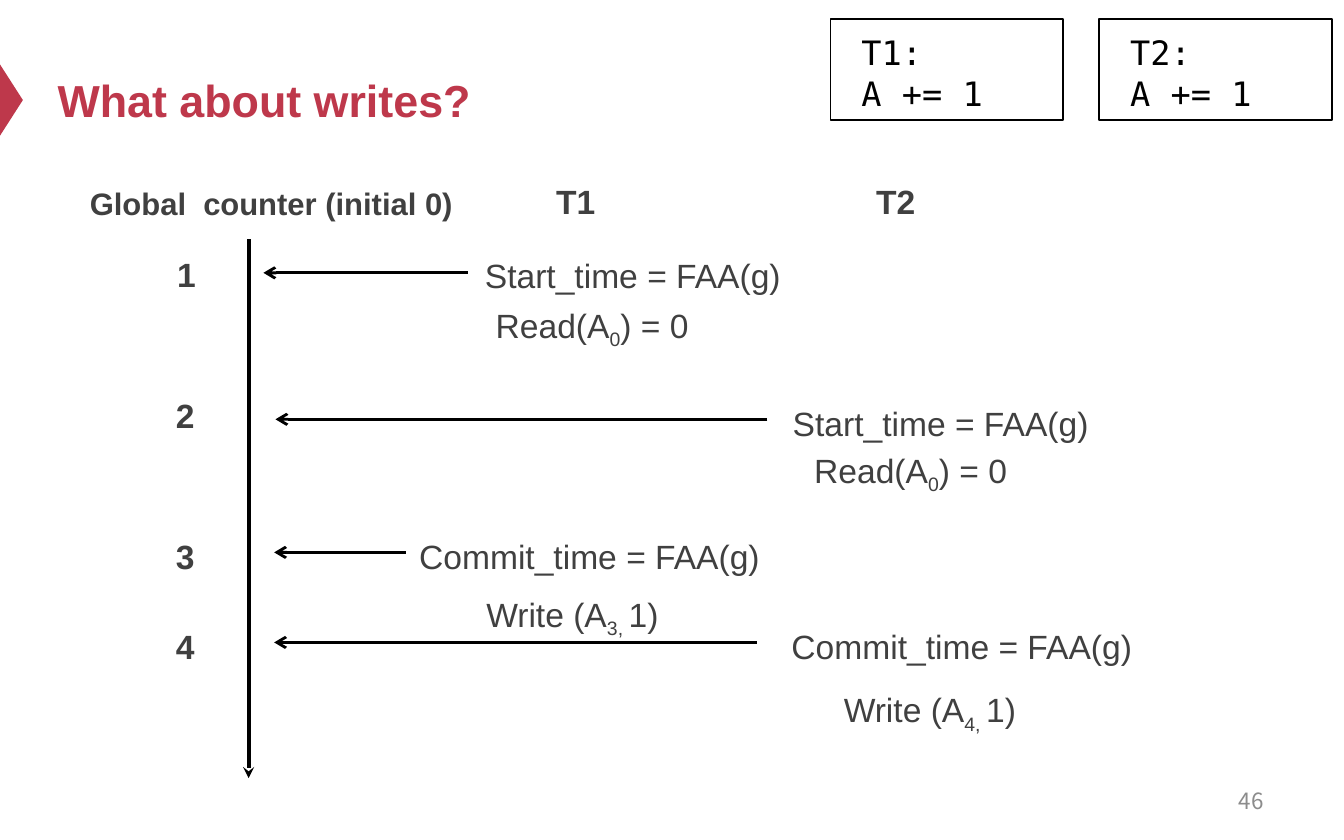
from dataclasses import dataclass

from lxml import etree
from pptx import Presentation
from pptx.dml.color import RGBColor
from pptx.enum.shapes import MSO_CONNECTOR, MSO_SHAPE
from pptx.enum.text import MSO_ANCHOR, PP_ALIGN
from pptx.oxml.ns import qn
from pptx.util import Inches, Pt

COLORS = {"accent": "BE384B", "text": "404040", "black": "000000",
          "white": "FFFFFF", "number": "8C8C8C"}
LABEL_H = 0.55


@dataclass
class Label:
    text: str
    x: float
    y: float
    w: float
    bold: bool = False
    size: float = 18
    filled: bool = False
    sub: str = ""    # subscript that follows the text
    rest: str = ""   # normal text after the subscript


@dataclass
class Arrow:
    x1: float
    y1: float
    x2: float
    y2: float
    width: float = 1.5
    head: str = "arrow"


def rgb(name: str) -> RGBColor:
    return RGBColor.from_string(COLORS[name])


def set_font(p, size: float, color: str, name: str = "Arial", bold: bool = False) -> None:
    p.font.size = Pt(size)
    p.font.name = name
    p.font.bold = bold
    p.font.color.rgb = rgb(color)


def add_box(s, x: float, y: float, w: float, h: float, filled: bool = False):
    """Add a plain white rectangle or a text box, wrapped and left aligned."""
    pos = Inches(x), Inches(y), Inches(w), Inches(h)
    if filled:
        sp = s.shapes.add_shape(MSO_SHAPE.RECTANGLE, *pos)
        sp.shadow.inherit = False
        sp.fill.solid()
        sp.fill.fore_color.rgb = rgb("white")
        sp.line.fill.background()
    else:
        sp = s.shapes.add_textbox(*pos)
    sp.text_frame.word_wrap = True
    sp.text_frame.vertical_anchor = MSO_ANCHOR.TOP
    sp.text_frame.paragraphs[0].alignment = PP_ALIGN.LEFT
    return sp


def add_label(s, label: Label) -> None:
    sp = add_box(s, label.x, label.y, label.w, LABEL_H, label.filled)
    p = sp.text_frame.paragraphs[0]
    p.line_spacing = 1.2
    set_font(p, label.size, "text", bold=label.bold)
    p.add_run().text = label.text
    if label.sub:
        r = p.add_run()
        r.text = label.sub
        r.font._element.set("baseline", "-25000")
        p.add_run().text = label.rest


def add_arrow(s, arrow: Arrow) -> None:
    c = s.shapes.add_connector(MSO_CONNECTOR.STRAIGHT, Inches(arrow.x1), Inches(arrow.y1),
                               Inches(arrow.x2), Inches(arrow.y2))
    c.line.color.rgb = rgb("black")
    c.line.width = Pt(arrow.width)
    etree.SubElement(c.line._get_or_add_ln(), qn("a:tailEnd"), type=arrow.head)
    etree.SubElement(c._element.spPr, qn("a:effectLst"))


def add_code_box(s, x: float, name: str) -> None:
    sp = add_box(s, x, 0.14, 1.73, 0.75, filled=True)
    sp.line.color.rgb = rgb("black")
    sp.line.width = Pt(1)
    tf = sp.text_frame
    tf.margin_left, tf.margin_top = Inches(0.23), Inches(0.1)
    tf.text = f"{name}:\nA += 1"
    for p in tf.paragraphs:
        p.alignment = PP_ALIGN.LEFT
        set_font(p, 18, "black", "DejaVu Sans Mono")


LABELS = [
    # Column headings
    Label("Global  counter (initial 0)", 0.57, 1.27, 2.91, bold=True, size=16.6, filled=True),
    Label("T1", 4.04, 1.24, 0.88, bold=True),
    Label("T2", 6.42, 1.24, 0.88, bold=True),
    # Counter values
    Label("1", 1.22, 1.78, 1.92, bold=True, filled=True),
    Label("2", 1.21, 2.83, 1.92, bold=True),
    Label("3", 1.21, 3.88, 0.6, bold=True),
    Label("4", 1.21, 4.55, 0.6, bold=True),
    # Transaction T1
    Label("Start_time = FAA(g)", 3.51, 1.79, 2.99),
    Label("Read(A", 3.59, 2.15, 2.2, sub="0", rest=") = 0"),
    Label("Commit_time = FAA(g)", 3.02, 3.88, 2.99, filled=True),
    Label("Write (A", 3.52, 4.3, 1.64, sub="3, ", rest="1)"),
    # Transaction T2
    Label("Start_time = FAA(g)", 5.8, 2.89, 2.99),
    Label("Read(A", 5.96, 3.23, 2.2, sub="0", rest=") = 0"),
    Label("Commit_time = FAA(g)", 5.79, 4.55, 2.99, filled=True),
    Label("Write (A", 6.18, 5.01, 1.64, sub="4, ", rest="1)"),
]

ARROWS = [
    Arrow(1.85, 1.78, 1.85, 5.79, width=2, head="stealth"),  # time axis
    Arrow(3.48, 2.03, 1.96, 2.03),
    Arrow(5.71, 3.12, 2.05, 3.12),
    Arrow(3.02, 4.11, 2.04, 4.11),
    Arrow(5.63, 4.78, 2.04, 4.78),
]


def main() -> None:
    prs = Presentation()
    prs.slide_width, prs.slide_height = Inches(10), Inches(6.25)
    s = prs.slides.add_slide(prs.slide_layouts[6])

    # Edge marker
    sp = s.shapes.add_shape(MSO_SHAPE.ISOSCELES_TRIANGLE, Inches(-0.18), Inches(0.66),
                            Inches(0.53), Inches(0.17))
    sp.rotation = 90
    sp.shadow.inherit = False
    sp.fill.solid()
    sp.fill.fore_color.rgb = rgb("accent")
    sp.line.fill.background()

    # Title
    tf = add_box(s, 0.33, 0.25, 6.19, 0.98).text_frame
    tf.vertical_anchor = MSO_ANCHOR.MIDDLE
    tf.text = "What about writes?"
    set_font(tf.paragraphs[0], 24, "accent", bold=True)

    # Slide number
    tf = add_box(s, 7.17, 5.79, 2.33, 0.33).text_frame
    tf.vertical_anchor = MSO_ANCHOR.MIDDLE
    tf.text = "46"
    tf.paragraphs[0].alignment = PP_ALIGN.RIGHT
    set_font(tf.paragraphs[0], 12, "number", "Noto Sans CJK SC")

    # Transaction code
    add_code_box(s, 6.18, "T1")
    add_code_box(s, 8.18, "T2")

    # Timeline
    for label in LABELS:
        add_label(s, label)
    for arrow in ARROWS:
        add_arrow(s, arrow)

    prs.save("out.pptx")


if __name__ == "__main__":
    main()
